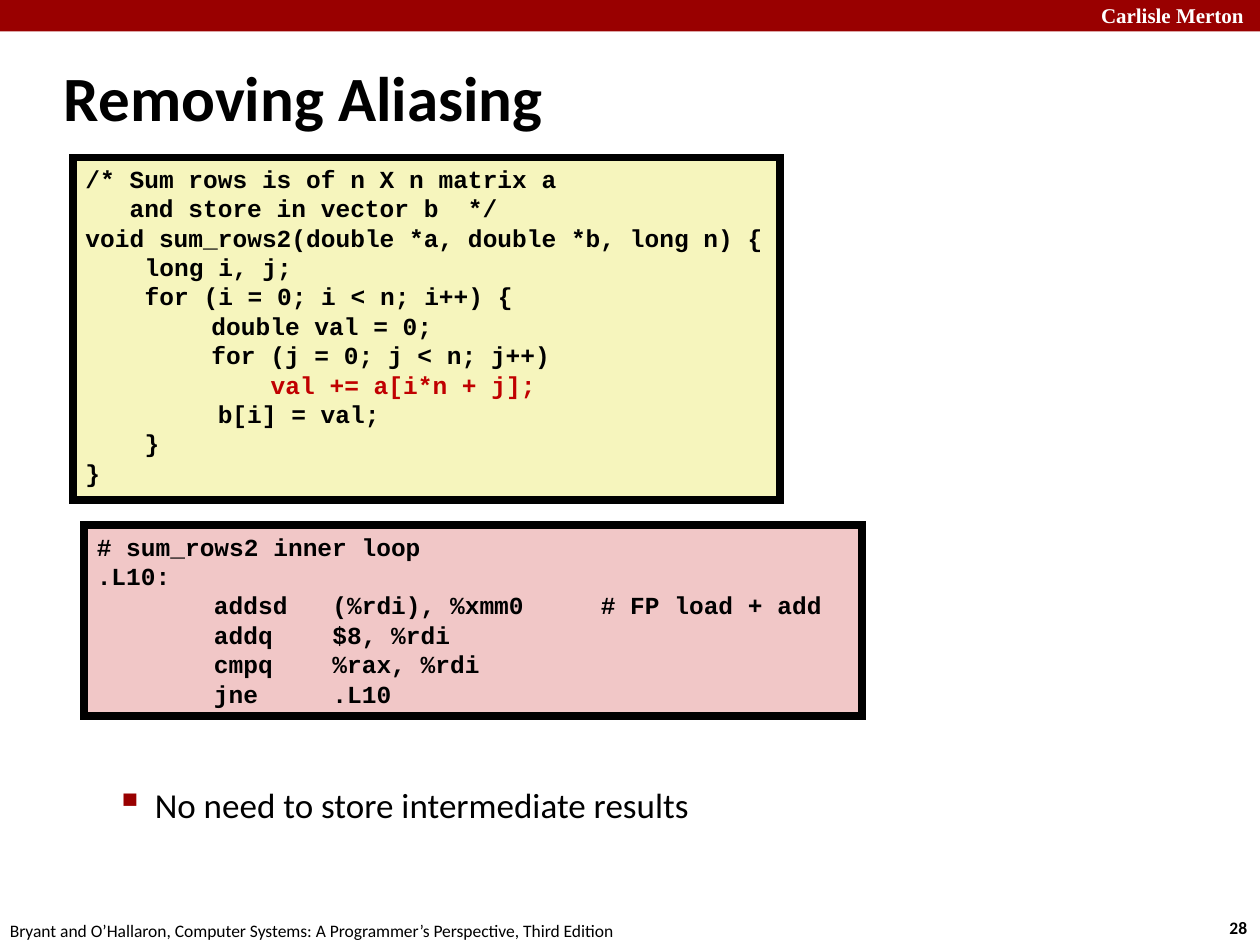
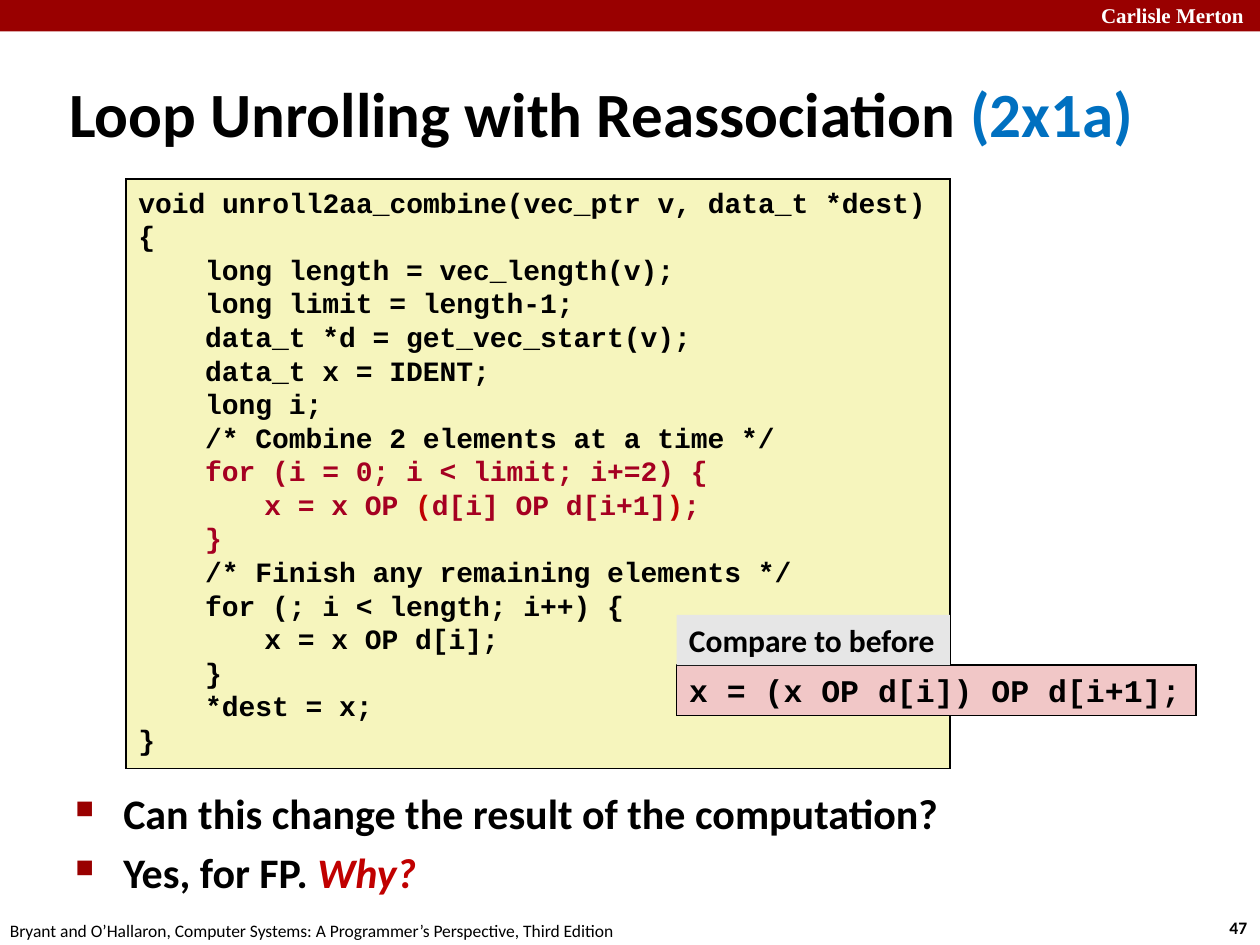
from lxml import etree
from pptx import Presentation
from pptx import util as u
from pptx.dml import color
from pptx.enum import shapes, text
from pptx.oxml import ns

BLACK, WHITE, BAND_RED = "000000", "FFFFFF", "990000"
ACCENT, CODE_RED, BLUE = "C00000", "A50021", "0070C0"
YELLOW, PINK, GREY = "F6F5BD", "F1C7C7", "E6E6E6"
BODY_FONT, CODE_FONT, BAND_FONT = "Calibri", "Courier New", "Times New Roman"
SOURCE = "Bryant and O’Hallaron, Computer Systems: A Programmer’s Perspective, Third Edition"

# A code line is (indent in inches, run, run, ...); a run is a string or (string, colour).
SUM_ROWS = [
    (0, "/* Sum rows is of n X n matrix a"),
    (0.35, "and store in vector b  */"),
    (0, "void sum_rows2(double *a, double *b, long n) {"),
    (0.47, "long i, j;"),
    (0.47, "for (i = 0; i < n; i++) {"),
    (1, "double val = 0;"),
    (1, "for (j = 0; j < n; j++)"),
    (1.47, ("val += a[i*n + j];", ACCENT)),
    (1.05, "b[i] = val;"),
    (0.47, "}"),
    (0, "}"),
]
INNER_LOOP = [
    (0, "# sum_rows2 inner loop"),
    (0, ".L10:"),
    (0, "\taddsd\t(%rdi), %xmm0\t# FP load + add"),
    (0, "\taddq\t$8, %rdi"),
    (0, "\tcmpq\t%rax, %rdi"),
    (0, "\tjne\t.L10"),
]
UNROLLED = [
    (0, "void unroll2aa_combine(vec_ptr v, data_t *dest)"),
    (0, "{"),
    (0.53, "long length = vec_length(v);"),
    (0.53, "long limit = length-1;"),
    (0.53, "data_t *d = get_vec_start(v);"),
    (0.53, "data_t x = IDENT;"),
    (0.53, "long i;"),
    (0.53, "/* Combine 2 elements at a time */"),
    (0.53, ("for (i = 0; i < limit; i+=2) {", CODE_RED)),
    (1, ("x = x OP ", CODE_RED), ("(", ACCENT), ("d[i] OP d[i+1]", CODE_RED),
     (")", ACCENT), (";", CODE_RED)),
    (0.53, ("}", CODE_RED)),
    (0.53, "/* Finish any remaining elements */"),
    (0.53, "for (; i < length; i++) {"),
    (1, "x = x OP d[i];"),
    (0.53, "}"),
    (0.53, "*dest = x;"),
    (0, "}"),
]


def rgb(hex_code):
    return color.RGBColor.from_string(hex_code)


def add_runs(paragraph, runs, size, font=BODY_FONT, bold=False, ink=BLACK):
    """Add runs given as a string, (string, colour) or (string, colour, italic)."""
    for part in runs:
        wording, tint, *italic = (part, ink) if isinstance(part, str) else part
        run = paragraph.add_run()
        run.text = wording
        run.font.size = u.Pt(size)
        run.font.name = font
        run.font.bold = bold
        run.font.color.rgb = rgb(tint)
        if italic:
            run.font.italic = italic[0]


def set_indent(paragraph, left, first=0):
    properties = paragraph._p.get_or_add_pPr()
    properties.set("marL", str(u.Inches(left)))
    properties.set("indent", str(u.Inches(first)))
    return properties


def set_tabs(paragraph, stops):
    """Set tab stops; an explicit indent would make LibreOffice drop them."""
    properties = paragraph._p.get_or_add_pPr()
    properties.set("defTabSz", str(u.Inches(stops[0])))
    tab_list = etree.SubElement(properties, ns.qn("a:tabLst"))
    for stop in stops:
        etree.SubElement(tab_list, ns.qn("a:tab"), pos=str(u.Inches(stop)), algn="l")


def set_bullet(properties, mark, percent):
    tint = etree.SubElement(properties, ns.qn("a:buClr"))
    etree.SubElement(tint, ns.qn("a:srgbClr"), val=BAND_RED)
    etree.SubElement(properties, ns.qn("a:buSzPct"), val=str(percent * 1000))
    etree.SubElement(properties, ns.qn("a:buChar"), char=mark)


def add_paragraphs(frame, count):
    return [frame.paragraphs[0]] + [frame.add_paragraph() for _ in range(count - 1)]


def add_label(slide, place, runs, size, anchor=text.MSO_ANCHOR.TOP, **style):
    label = slide.shapes.add_textbox(*map(u.Inches, place))
    frame = label.text_frame
    frame.word_wrap = True
    frame.vertical_anchor = anchor
    add_runs(frame.paragraphs[0], runs, size, **style)
    return label


def add_panel(slide, place, fill, border=None):
    panel = slide.shapes.add_shape(shapes.MSO_SHAPE.RECTANGLE, *map(u.Inches, place))
    panel.shadow.inherit = False
    panel.fill.solid()
    panel.fill.fore_color.rgb = rgb(fill)
    if border:
        panel.line.color.rgb = rgb(BLACK)
        panel.line.width = u.Pt(border)
        outline = panel._element.spPr.find(ns.qn("a:ln"))
        etree.SubElement(outline, ns.qn("a:miter"), lim="800000")
    else:
        panel.line.fill.background()
    return panel


def add_code(slide, place, lines, size, fill, border, tabs=()):
    frame = add_panel(slide, place, fill, border).text_frame
    frame.word_wrap = True
    frame.vertical_anchor = text.MSO_ANCHOR.TOP
    for paragraph, (indent, *runs) in zip(add_paragraphs(frame, len(lines)), lines):
        paragraph.alignment = text.PP_ALIGN.LEFT
        paragraph.line_spacing = u.Pt(size * 1.2)
        if tabs:
            set_tabs(paragraph, tabs)
        else:
            set_indent(paragraph, indent)
        add_runs(paragraph, runs, size, CODE_FONT, bold=True)


def add_bullets(slide, place, items, size, mark, percent, left, hang, bold=False):
    frame = slide.shapes.add_textbox(*map(u.Inches, place)).text_frame
    frame.word_wrap = True
    for paragraph, runs in zip(add_paragraphs(frame, len(items)), items):
        paragraph.space_before = u.Pt(size * 0.2)
        set_bullet(set_indent(paragraph, left, -hang), mark, percent)
        add_runs(paragraph, runs, size, bold=bold)


def add_base_slide(deck, number, title_place, title):
    """Add a slide with the band, title, page number and source line."""
    slide = deck.slides.add_slide(deck.slide_layouts[6])
    add_panel(slide, (0, 0, 10, 0.25), BAND_RED)
    add_label(slide, (8.64, -0.03, 1.43, 0.3), ["Carlisle Merton"], 12,
              font=BAND_FONT, bold=True, ink=WHITE)
    add_label(slide, (9.66, 7.23, 0.37, 0.27), [str(number)], 10, bold=True)
    add_label(slide, (-0.02, 7.25, 5.08, 0.27), [SOURCE], 10)
    add_label(slide, title_place, title, 36, text.MSO_ANCHOR.MIDDLE, bold=True)
    return slide


def add_aliasing_slide(deck):
    slide = add_base_slide(deck, 28, (0.41, 0.35, 8.3, 0.83), ["Removing Aliasing"])
    add_bullets(slide, (0.32, 6.17, 9.09, 0.88),
                [["No need to store intermediate results"]],
                20, "▪", 110, left=0.81, hang=0.31)
    add_code(slide, (0.67, 4.17, 6.17, 1.51), INNER_LOOP, 14, PINK, 4.5,
             tabs=(0.93, 1.87, 4))
    add_code(slide, (0.58, 1.25, 5.61, 2.72), SUM_ROWS, 14, YELLOW, 4.5)


def add_reassociation_slide(deck):
    slide = add_base_slide(deck, 47, (0.45, 0.48, 8.8, 0.83),
                           ["Loop Unrolling with Reassociation ", ("(2x1a)", BLUE)])
    add_bullets(slide, (0.5, 6.2, 8.68, 0.63),
                [["Can this change the result of the computation?"],
                 ["Yes, for FP. ", ("Why?", ACCENT, True)]],
                24, "■", 60, left=0.38, hang=0.38, bold=True)
    add_code(slide, (1, 1.42, 6.54, 4.68), UNROLLED, 16, YELLOW, 1)
    add_code(slide, (5.37, 5.28, 4.12, 0.4), [(0, "x = (x OP d[i]) OP d[i+1];")],
             18, PINK, 1)
    compare = add_label(slide, (5.37, 4.88, 2.17, 0.4), ["Compare to before"], 18,
                        bold=True)
    compare.fill.solid()
    compare.fill.fore_color.rgb = rgb(GREY)


def main():
    deck = Presentation()
    deck.slide_width, deck.slide_height = u.Inches(10), u.Inches(7.5)
    add_aliasing_slide(deck)
    add_reassociation_slide(deck)
    deck.save("out.pptx")


if __name__ == "__main__":
    main()
